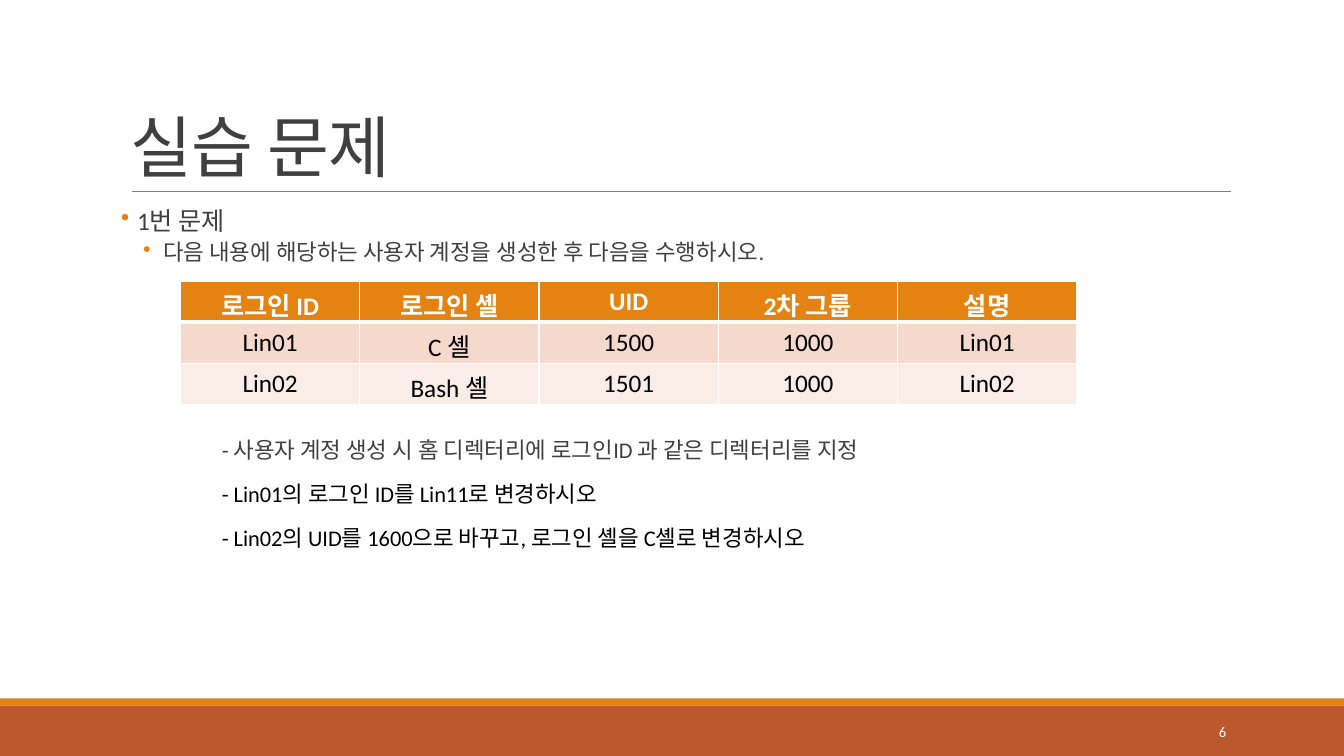
from lxml.etree import SubElement
from pptx import Presentation
from pptx.dml.color import RGBColor
from pptx.enum.shapes import MSO_CONNECTOR, MSO_SHAPE
from pptx.enum.text import MSO_ANCHOR, PP_ALIGN
from pptx.oxml.ns import qn
from pptx.util import Inches, Pt

ORANGE, RUST, WHITE, BLACK, GRAY = "E48312", "BD582C", "FFFFFF", "000000", "404040"
ROWS = [
    ("로그인 ID", "로그인 셸", "UID", "2차 그룹", "설명"),
    ("Lin01", "C 셸", "1500", "1000", "Lin01"),
    ("Lin02", "Bash 셸", "1501", "1000", "Lin02"),
]
FILLS = [ORANGE, "F5D9CC", "FAEDE7"]
TASKS = [
    ("- 사용자 계정 생성 시 홈 디렉터리에 로그인ID 과 같은 디렉터리를 지정", GRAY),
    ("- Lin01의 로그인 ID를 Lin11로 변경하시오", BLACK),
    ("- Lin02의 UID를 1600으로 바꾸고, 로그인 셸을 C셸로 변경하시오", BLACK),
]


def paint(fill, color):
    """Give a fill one solid colour."""
    fill.solid()
    fill.fore_color.rgb = RGBColor.from_string(color)


def write(para, text, size=18, color=GRAY, bold=False, align=PP_ALIGN.LEFT,
          line=1.0, before=0, after=0, kern=None):
    """Put formatted text in a paragraph."""
    para.alignment, para.line_spacing = align, line
    para.space_before, para.space_after = Pt(before), Pt(after)
    run = para.add_run()
    run.text = text
    run.font.name, run.font.size, run.font.bold = "Calibri", Pt(size), bold
    run.font.color.rgb = RGBColor.from_string(color)
    if kern is not None:
        run.font._element.set("spc", str(round(kern * 100)))


def bullet(para, left, hang):
    """Add an orange bullet with a hanging indent."""
    props = para._p.get_or_add_pPr()
    props.set("marL", str(Inches(left)))
    props.set("indent", str(-Inches(hang)))
    color = SubElement(props, qn("a:buClr"))
    SubElement(color, qn("a:srgbClr"), val=ORANGE)
    SubElement(props, qn("a:buChar"), char="•")


def frame(slide, box, anchor=MSO_ANCHOR.TOP, side=0.1):
    """Add a wrapping text box and return its frame."""
    text = slide.shapes.add_textbox(*map(Inches, box)).text_frame
    text.word_wrap, text.vertical_anchor = True, anchor
    text.margin_left = text.margin_right = Inches(side)
    return text


def footer(slide, box, number):
    """Draw the two bottom bands and the page number."""
    left, top, width, height = box
    strip = 0.07
    bands = [(top, strip, ORANGE), (top + strip, height - strip, RUST)]
    for y, tall, color in bands:
        band = slide.shapes.add_shape(
            MSO_SHAPE.RECTANGLE, *map(Inches, (left, y, width, tall)))
        band.shadow.inherit = False
        paint(band.fill, color)
        band.line.fill.background()
    page = frame(slide, (left + width - 2.5, top + 0.13, 1.43, 0.4), MSO_ANCHOR.MIDDLE)
    write(page.paragraphs[0], number, size=10.5, color=WHITE, align=PP_ALIGN.RIGHT)


def header(slide, box, text):
    """Place the title with the rule beneath it."""
    left, top, width, height = box
    title = frame(slide, box, MSO_ANCHOR.BOTTOM)
    write(title.paragraphs[0], text, size=48, line=0.85, kern=-0.5)
    start, base = left + 0.11, top + height
    rule = slide.shapes.add_connector(
        MSO_CONNECTOR.STRAIGHT, *map(Inches, (start, base, start + 10.9, base)))
    rule.line.color.rgb = RGBColor.from_string("808080")
    rule.line.width = Pt(0.5)
    SubElement(rule._element.spPr, qn("a:effectLst"))


def intro(slide, box):
    """Write the two bulleted lines."""
    text = frame(slide, box, side=0)
    first, second = text.paragraphs[0], text.add_paragraph()
    write(first, "1번 문제", line=0.9, after=2)
    bullet(first, 0.16, 0.16)
    write(second, "다음 내용에 해당하는 사용자 계정을 생성한 후 다음을 수행하시오.",
          size=16, line=0.9, before=2, after=4)
    bullet(second, 0.42, 0.2)


def border(cell, head):
    """Draw white cell edges, thicker under the head and above the first row."""
    props = cell._tc.get_or_add_tcPr()
    for spot, side in enumerate(("lnL", "lnR", "lnT", "lnB")):
        edge = SubElement(props, qn("a:" + side), w=str(Pt(3 if side == head else 1)))
        SubElement(SubElement(edge, qn("a:solidFill")), qn("a:srgbClr"), val=WHITE)
        props.remove(edge)
        props.insert(spot, edge)


def accounts(slide, box):
    """Build the account table."""
    table = slide.shapes.add_table(len(ROWS), len(ROWS[0]), *map(Inches, box)).table
    for r, row in enumerate(ROWS):
        for c, value in enumerate(row):
            cell = table.cell(r, c)
            paint(cell.fill, FILLS[r])
            border(cell, {0: "lnB", 1: "lnT"}.get(r))
            write(cell.text_frame.paragraphs[0], value, color=BLACK if r else WHITE,
                  bold=r == 0, align=PP_ALIGN.CENTER)


def tasks(slide, box):
    """List the tasks below the table."""
    text = frame(slide, box, side=0)
    for spot, (words, color) in enumerate(TASKS):
        para = text.add_paragraph() if spot else text.paragraphs[0]
        write(para, words, size=16, color=color, line=0.9,
              before=12 if spot else 0, after=2)


def main():
    """Build and save the slide."""
    deck = Presentation()
    deck.slide_width, deck.slide_height = Inches(13.33), Inches(7.5)
    slide = deck.slides.add_slide(deck.slide_layouts[6])
    footer(slide, (0, 6.93, 13.33, 0.57), "6")
    header(slide, (1.2, 0.31, 11, 1.59), "실습 문제")
    intro(slide, (1.2, 2.02, 11, 0.7))
    accounts(slide, (1.79, 2.79, 8.89, 1.22))
    tasks(slide, (2.2, 4.31, 10, 1.4))
    deck.save("out.pptx")


if __name__ == "__main__":
    main()
